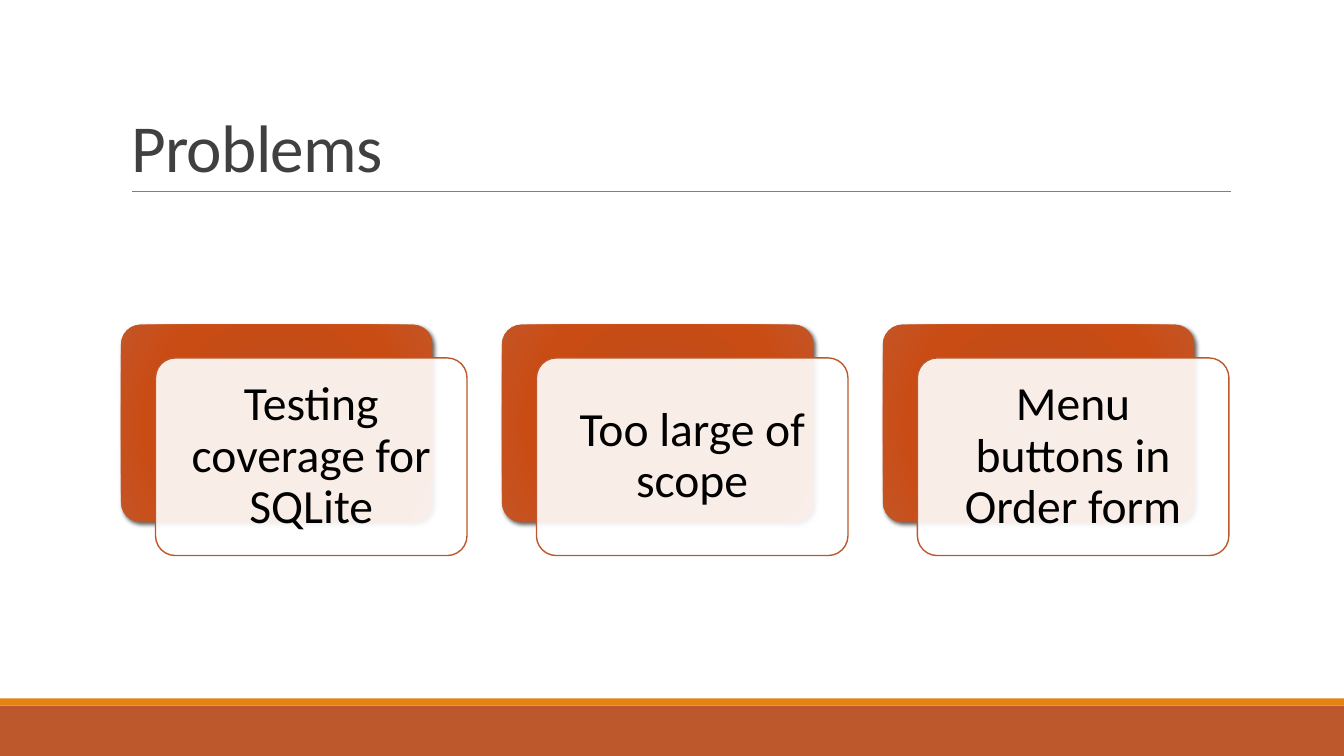
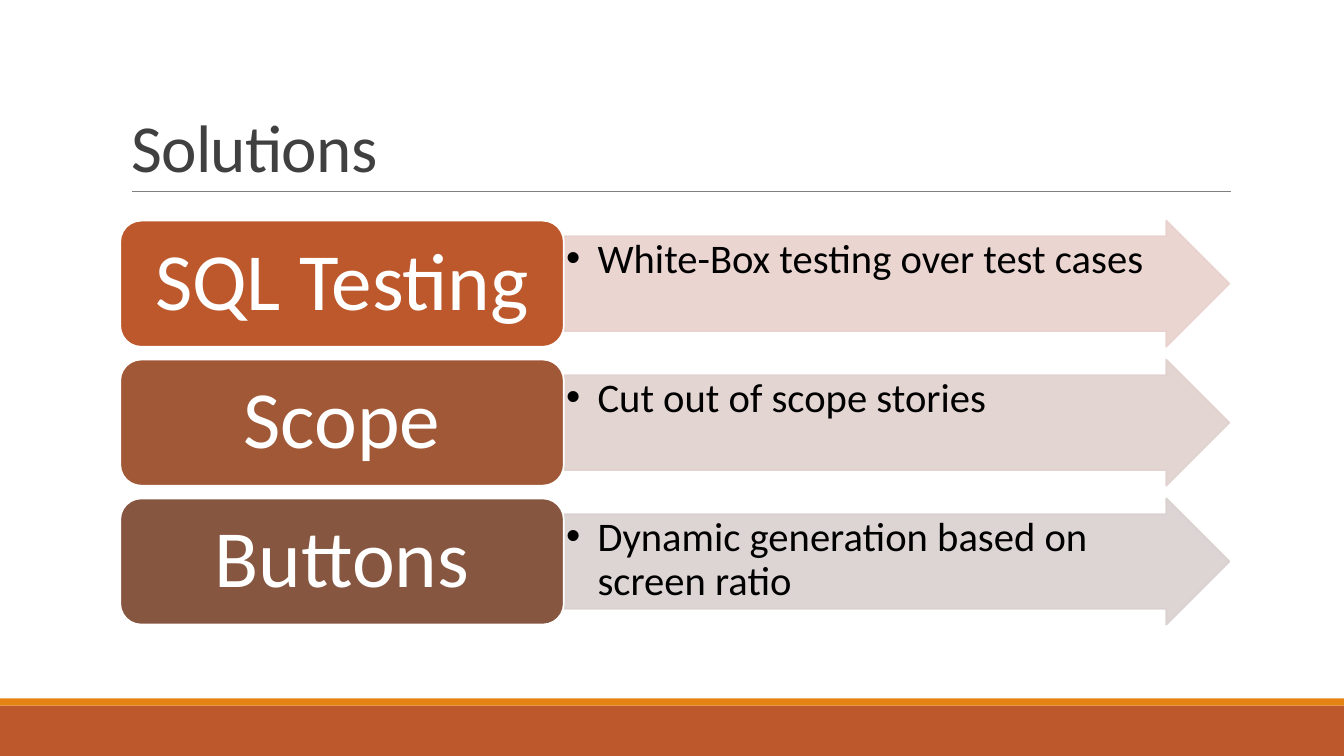
"""Build two slides that pair project problems with their solutions."""
from lxml.etree import SubElement
from pptx import Presentation
from pptx.dml.color import RGBColor
from pptx.enum.shapes import MSO_CONNECTOR, MSO_SHAPE
from pptx.enum.text import MSO_ANCHOR, PP_ALIGN
from pptx.oxml.ns import qn
from pptx.util import Cm, Pt

PROBLEMS = ["Testing coverage for SQLite", "Too large of scope", "Menu buttons in Order form"]
SOLUTIONS = [
    ("SQL Testing", "White-Box testing over test cases", "BD582C", "E8D1CD"),
    ("Scope", "Cut out of scope stories", "A05837", "E1D1CE"),
    ("Buttons", "Dynamic generation based on screen ratio", "865640", "D9D1CF"),
]
FONT = "Calibri"
RUST, ORANGE, RULE, TITLE = "BD582C", "E48312", "808080", "404040"
BLACK, WHITE = "000000", "FFFFFF"
CARD_GRADIENT = [(0, "C44A15"), (34, "C34C18"), (70, "C94C15"), (100, "C45525")]
SLIDE_WIDTH, SLIDE_HEIGHT = 33.87, 19.05


def rgb(value):
    return RGBColor.from_string(value)


def add_box(page, kind, left, top, width, height, fill, line=None, line_width=1, corner=None):
    box = page.shapes.add_shape(kind, Cm(left), Cm(top), Cm(width), Cm(height))
    box.shadow.inherit = False
    box.fill.solid()
    box.fill.fore_color.rgb = rgb(fill)
    if line:
        box.line.color.rgb = rgb(line)
        box.line.width = Pt(line_width)
    else:
        box.line.fill.background()
    if corner is not None:
        box.adjustments[0] = corner
    return box


def write(box, text, size, color, spacing=0.9, align=PP_ALIGN.CENTER):
    frame = box.text_frame
    frame.word_wrap = True
    para = frame.paragraphs[0]
    para.alignment = align
    para.line_spacing = spacing
    span = para.add_run()
    span.text = text
    span.font.name = FONT
    span.font.size = Pt(size)
    span.font.color.rgb = rgb(color)
    return para


def set_insets(box, horizontal, vertical):
    frame = box.text_frame
    frame.margin_left = frame.margin_right = Cm(horizontal)
    frame.margin_top = frame.margin_bottom = Cm(vertical)


def set_alpha(color_format_parent, percent):
    color = color_format_parent.find(qn("a:solidFill")).find(qn("a:srgbClr"))
    SubElement(color, qn("a:alpha"), val=str(percent * 1000))


def add_glow_gradient(box):
    properties = box._element.spPr
    solid = properties.find(qn("a:solidFill"))
    gradient = SubElement(properties, qn("a:gradFill"), rotWithShape="1")
    properties.replace(solid, gradient)
    stops = SubElement(gradient, qn("a:gsLst"))
    for position, color in CARD_GRADIENT:
        stop = SubElement(stops, qn("a:gs"), pos=str(position * 1000))
        SubElement(stop, qn("a:srgbClr"), val=color)
    circle = SubElement(gradient, qn("a:path"), path="circle")
    SubElement(circle, qn("a:fillToRect"), {side: "100000" for side in "ltrb"})


def add_drop_shadow(box):
    effects = box._element.spPr.find(qn("a:effectLst"))
    shadow = SubElement(effects, qn("a:outerShdw"), blurRad=str(Pt(3)), dist=str(Pt(2)),
                        dir=str(45 * 60000), algn="ctr", rotWithShape="0")
    color = SubElement(shadow, qn("a:srgbClr"), val=BLACK)
    SubElement(color, qn("a:alpha"), val="60000")


def add_bullet(para, indent):
    properties = para._p.get_or_add_pPr()
    properties.set("marL", str(Cm(indent)))
    properties.set("indent", str(-Cm(indent)))
    SubElement(properties, qn("a:buFont"), typeface="Arial")
    SubElement(properties, qn("a:buChar"), char="•")


def style_layout(layout, page):
    """Draw the bands and title rule on a page, then move them to its layout."""
    bands = [
        add_box(page, MSO_SHAPE.RECTANGLE, 0, top, SLIDE_WIDTH, height, color)
        for top, height, color in [(17.78, 1.27, RUST), (17.6, 0.18, ORANGE)]
    ]
    rule = page.shapes.add_connector(MSO_CONNECTOR.STRAIGHT, Cm(3.33), Cm(4.82), Cm(31.01), Cm(4.82))
    rule.line.color.rgb = rgb(RULE)
    rule.line.width = Pt(0.5)
    SubElement(rule._element.spPr, qn("a:effectLst"))
    for part in [*bands, rule]:
        layout.shapes._spTree.append(part._element)
    title = layout.placeholders[0]
    title.left, title.top, title.width, title.height = Cm(3.05), Cm(0.79), Cm(27.94), Cm(4.04)
    title.text_frame.vertical_anchor = MSO_ANCHOR.BOTTOM


def add_title(page, text):
    para = write(page.shapes.title, text, 48, TITLE, 0.85, PP_ALIGN.LEFT)
    para.runs[0].font._element.set("spc", "-50")


def add_problems(page):
    width, height, top, pitch = 7.85, 4.98, 8.18, 9.6
    for index, problem in enumerate(PROBLEMS):
        left = 3.05 + index * pitch
        back = add_box(page, MSO_SHAPE.ROUNDED_RECTANGLE, left, top, width, height, RUST, corner=0.1)
        add_glow_gradient(back)
        add_drop_shadow(back)
        card = add_box(page, MSO_SHAPE.ROUNDED_RECTANGLE, left + 0.87, top + 0.84, width, height,
                       WHITE, RUST, corner=0.1)
        set_alpha(card._element.spPr, 90)
        set_insets(card, 0.36, 0.36)
        write(card, problem, 34, BLACK)


def add_solutions(page):
    height, pitch = 3.18, 3.5
    for index, (topic, answer, dark, pale) in enumerate(SOLUTIONS):
        top = 5.56 + index * pitch
        arrow = add_box(page, MSO_SHAPE.RIGHT_ARROW, 14.22, top, 16.76, height, pale, pale, 1.25, 0.75)
        arrow.adjustments[1] = 0.5
        for parent in (arrow._element.spPr, arrow._element.spPr.find(qn("a:ln"))):
            set_alpha(parent, 90)
        set_insets(arrow, 0.05, 0.05)
        arrow.text_frame.vertical_anchor = MSO_ANCHOR.TOP
        add_bullet(write(arrow, answer, 29, BLACK, align=PP_ALIGN.LEFT), 0.79)
        label = add_box(page, MSO_SHAPE.ROUNDED_RECTANGLE, 3.03, top, 11.18, height, dark, WHITE, 1.25)
        set_insets(label, 0.61, 0.3)
        write(label, topic, 58, WHITE)


def main():
    deck = Presentation()
    deck.slide_width, deck.slide_height = Cm(SLIDE_WIDTH), Cm(SLIDE_HEIGHT)
    layout = deck.slide_layouts[5]
    pages = [deck.slides.add_slide(layout) for _ in range(2)]
    style_layout(layout, pages[0])
    for page, title, add_content in zip(pages, ["Problems", "Solutions"], [add_problems, add_solutions]):
        add_title(page, title)
        add_content(page)
    deck.save("out.pptx")


if __name__ == "__main__":
    main()
